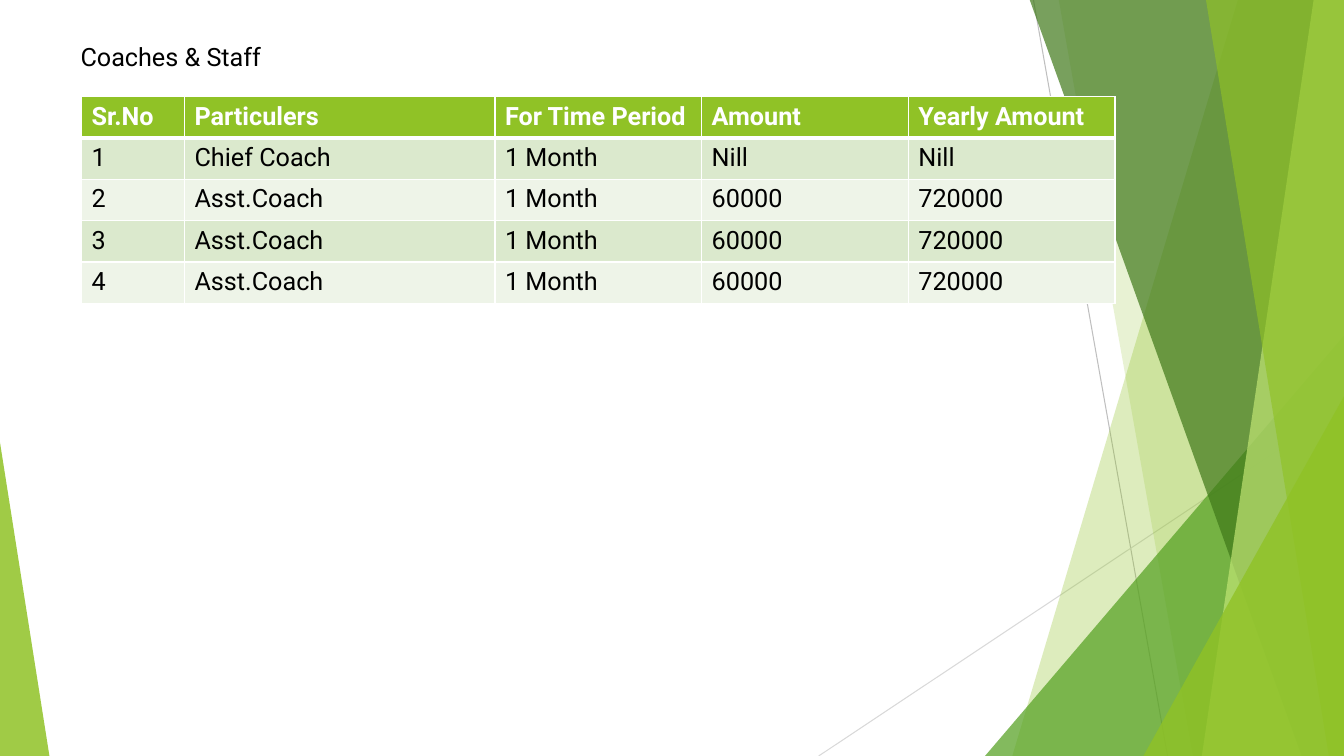
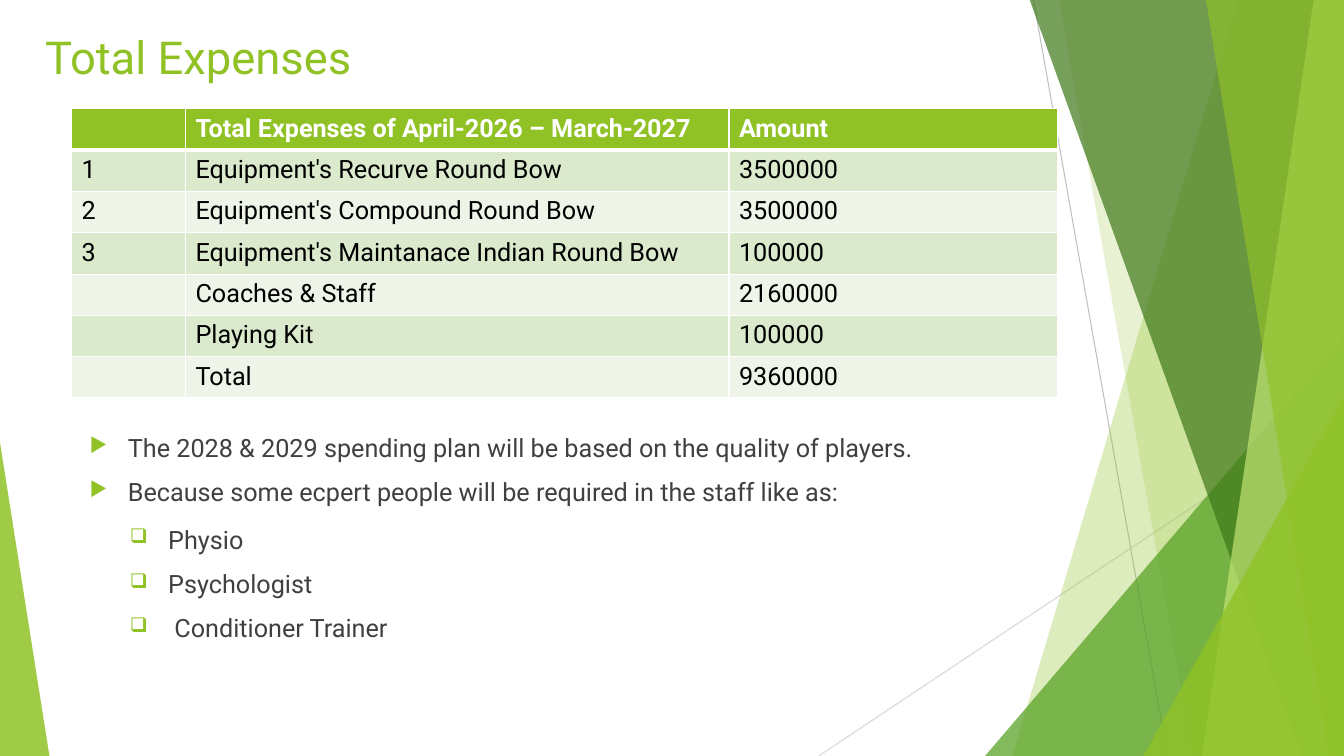
from lxml.etree import SubElement
from pptx import Presentation
from pptx.dml.color import RGBColor
from pptx.enum.shapes import MSO_CONNECTOR as CONNECTOR, MSO_SHAPE as SHAPE
from pptx.oxml.ns import qn
from pptx.util import Inches, Pt

COLORS = {
    "lime": "90C226", "pale lime": "C0E474", "green": "54A021", "forest": "3F7819",
    "gray": "BFBFBF", "light gray": "D9D9D9", "text": "404040",
    "black": "000000", "white": "FFFFFF", "odd row": "DBE9CD", "even row": "EEF4E8",
}
BODY = {"name": "Roboto", "size": Pt(18), "bold": False}
HEADER = {**BODY, "bold": True}
TITLE = {**BODY, "size": Pt(32.4)}
ROW_HEIGHT = 0.41


def add_text(slide, place, lines, font_format, color, bullet=None):
    frame = slide.shapes.add_textbox(*map(Inches, place)).text_frame
    frame.word_wrap = True
    for index, line in enumerate(lines):
        paragraph = frame.add_paragraph() if index else frame.paragraphs[0]
        paragraph.text = line
        for name, value in font_format.items():
            setattr(paragraph.font, name, value)
        paragraph.font.color.rgb = RGBColor.from_string(COLORS[color])
        if bullet:
            paragraph.space_before = Pt(10)
            properties = paragraph._p.get_or_add_pPr()
            properties.set("marL", str(Inches(0.38)))
            properties.set("indent", str(Inches(-0.38)))
            bullet_color = SubElement(properties, qn("a:buClr"))
            SubElement(bullet_color, qn("a:srgbClr"), val=COLORS["lime"])
            SubElement(properties, qn("a:buSzPct"), val="80000")
            SubElement(properties, qn("a:buChar"), char=bullet)


def add_table(slide, left, top, widths, rows):
    """Add a table with a lime header, striped rows and white borders."""
    size = (sum(widths), ROW_HEIGHT * len(rows))
    table = slide.shapes.add_table(
        len(rows), len(widths), *map(Inches, (left, top, *size))).table
    table.horz_banding = False
    for column, width in zip(table.columns, widths):
        column.width = Inches(width)
    for row_index, texts in enumerate(rows):
        table.rows[row_index].height = Inches(ROW_HEIGHT)
        is_header = row_index == 0
        fill = "lime" if is_header else "odd row" if row_index % 2 else "even row"
        border_widths = {
            "a:lnL": 1, "a:lnR": 1,
            "a:lnT": 3 if row_index == 1 else 1,
            "a:lnB": 3 if is_header else 1,
        }
        for cell, text in zip(table.rows[row_index].cells, texts):
            properties = cell._tc.get_or_add_tcPr()
            for tag, width in border_widths.items():
                border = SubElement(properties, qn(tag), w=str(Pt(width)))
                border_fill = SubElement(border, qn("a:solidFill"))
                SubElement(border_fill, qn("a:srgbClr"), val=COLORS["white"])
            cell.fill.solid()
            cell.fill.fore_color.rgb = RGBColor.from_string(COLORS[fill])
            cell.text = text
            font = cell.text_frame.paragraphs[0].font
            for name, value in (HEADER if is_header else BODY).items():
                setattr(font, name, value)
            font.color.rgb = RGBColor.from_string(
                COLORS["white" if is_header else "black"])


presentation = Presentation()
presentation.slide_width = Inches(13.33)
presentation.slide_height = Inches(7.5)
blank = presentation.slide_layouts[6]
for placeholder in list(blank.placeholders):
    placeholder.element.getparent().remove(placeholder.element)

staff_slide = presentation.slides.add_slide(blank)
expenses_slide = presentation.slides.add_slide(blank)

# Background facets, drawn as one group and moved to the shared layout
facets = staff_slide.shapes.add_group_shape()
for color, *ends in [
    ("gray", 10.25, 0, 11.58, 7.5),
    ("light gray", 13.33, 4.03, 8.12, 7.5),
]:
    line = facets.shapes.add_connector(CONNECTOR.STRAIGHT, *map(Inches, ends))
    line.line.color.rgb = RGBColor.from_string(COLORS[color])
    line.line.width = Pt(0.75)
    SubElement(line.element.spPr, qn("a:effectLst"))

# A band has (top x, bottom x) and fills to the right edge;
# a triangle has (left, top, width, height, apex)
for kind, color, opacity, numbers in [
    ("band", "lime", 30, (12.28, 10.04)),
    ("band", "lime", 20, (10.5, 11.83)),
    ("triangle", "green", 72, (9.77, 3.33, 3.56, 4.17, 1)),
    ("band", "forest", 70, (10.21, 12.91)),
    ("band", "pale lime", 70, (13.03, 11.92)),
    ("band", "lime", 65, (11.96, 13.18)),
    ("triangle", "lime", 80, (11.34, 3.93, 1.99, 3.57, 1)),
    ("triangle", "lime", 85, (0, 4.39, 0.49, 3.11, 0)),
]:
    if kind == "band":
        top_x, bottom_x = map(Inches, numbers)
        right, bottom = presentation.slide_width, presentation.slide_height
        outline = facets.shapes.build_freeform(top_x, Inches(-0.01))
        outline.add_line_segments(
            [(right, Inches(-0.01)), (right, bottom), (bottom_x, bottom)], close=True)
        shape = outline.convert_to_shape()
    else:
        *place, apex = numbers
        shape = facets.shapes.add_shape(SHAPE.ISOSCELES_TRIANGLE, *map(Inches, place))
        shape.adjustments[0] = apex
    shape.shadow.inherit = False
    shape.line.fill.background()
    shape.fill.solid()
    shape.fill.fore_color.rgb = RGBColor.from_string(COLORS[color])
    fill_color = shape.element.spPr.find(qn("a:solidFill"))[0]
    SubElement(fill_color, qn("a:alpha"), val=str(opacity * 1000))
blank.shapes.element.append(facets.element)

# Coaches and staff
add_text(staff_slide, (0.7, 0.36, 5.48, 0.4), ["Coaches & Staff"], BODY, "black")
assistants = [
    (str(number), "Asst.Coach", "1 Month", "60000", "720000") for number in (2, 3, 4)]
add_table(staff_slide, 0.81, 0.96, (1.02, 3.08, 2.05, 2.05, 2.05), [
    ("Sr.No", "Particulers", "For Time Period", "Amount", "Yearly Amount"),
    ("1", "Chief Coach", "1 Month", "Nill", "Nill"),
    *assistants,
])

# Total expenses
add_text(expenses_slide, (0.35, 0.24, 9.4, 0.65), ["Total Expenses"], TITLE, "lime")
add_table(expenses_slide, 0.71, 1.08, (1.13, 5.39, 3.26), [
    ("", "Total Expenses of April-2026 – March-2027", "Amount"),
    ("1", "Equipment's Recurve Round Bow", "3500000"),
    ("2", "Equipment's Compound Round Bow", "3500000"),
    ("3", "Equipment's Maintanace Indian Round Bow", "100000"),
    ("", "Coaches & Staff", "2160000"),
    ("", "Playing Kit", "100000"),
    ("", "Total", "9360000"),
])
add_text(expenses_slide, (0.79, 4.24, 9.65, 0.91), [
    "The 2028 & 2029 spending plan will be based on the quality of players.",
    "Because some ecpert people will be required in the staff like as:",
], BODY, "text", "▶")
add_text(expenses_slide, (1.19, 5.15, 9.65, 1.42), [
    "Physio", "Psychologist", " Conditioner Trainer",
], BODY, "text", "❑")

presentation.save("out.pptx")
